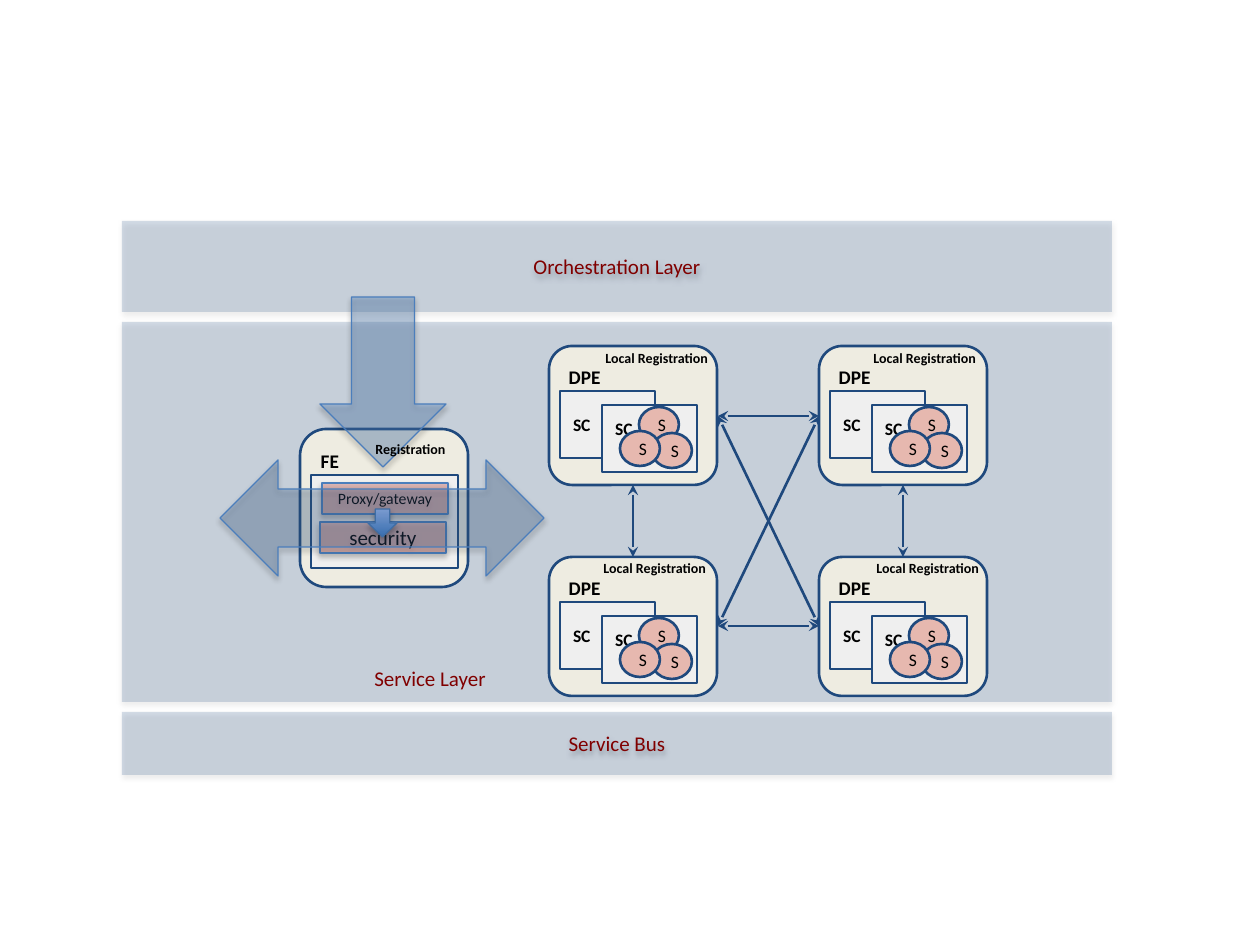
from pptx import Presentation
from pptx.dml.color import RGBColor
from pptx.enum.shapes import MSO_CONNECTOR, MSO_SHAPE
from pptx.enum.text import MSO_ANCHOR, MSO_AUTO_SIZE, PP_ALIGN
from pptx.oxml.ns import qn
from pptx.util import Emu, Pt
from lxml.etree import SubElement

NAVY, EDGE, BAND = "1F497D", "4B7EBC", "376092"
CREAM, GREY, PINK, ROSE = "EEECE1", "EFEFEF", "E6B8AF", "D99694"
BLACK, MAROON = "000000", "800000"
TOP, MID = MSO_ANCHOR.TOP, MSO_ANCHOR.MIDDLE


def px(n):
    return Emu(round(n * 914400 / 126))


def rgb(code):
    return RGBColor.from_string(code)


class Board:
    font = "Calibri"

    def __init__(self, slide):
        self.slide = slide
        self.shapes = slide.shapes

    def text(self, frame, words, size, color=BLACK, bold=False, align=PP_ALIGN.LEFT):
        para = frame.paragraphs[0]
        para.alignment = align
        run = para.add_run()
        run.text = words
        run.font.name, run.font.size, run.font.bold = self.font, Pt(size), bold
        run.font.color.rgb = rgb(color)

    def shape(self, kind, box, fill, line=None, width=1.5, alpha=None):
        item = self.shapes.add_shape(kind, *map(px, box))
        item.shadow.inherit = False
        item.fill.solid()
        item.fill.fore_color.rgb = rgb(fill)
        if alpha:
            color = item._element.spPr.find(qn("a:solidFill"))[0]
            SubElement(color, qn("a:alpha"), val=str(alpha * 1000))
        if line:
            item.line.color.rgb = rgb(line)
            item.line.width = Pt(width)
        else:
            item.line.fill.background()
        return item

    def cast(self, item):
        """Add a soft shadow below the shape."""
        effects = item._element.spPr.find(qn("a:effectLst"))
        outer = SubElement(effects, qn("a:outerShdw"), blurRad=str(Pt(3.1)),
                           dist=str(Pt(1.8)), dir="5400000", rotWithShape="0")
        color = SubElement(outer, qn("a:srgbClr"), val=BLACK)
        SubElement(color, qn("a:alpha"), val="35000")
        return item

    def glass(self, kind, box, fill, alpha, line=EDGE):
        return self.cast(self.shape(kind, box, fill, line, 0.75, alpha))

    def center(self, item, words, size, color=BLACK):
        item.text_frame.vertical_anchor = MID
        self.text(item.text_frame, words, size, color, align=PP_ALIGN.CENTER)

    def band(self, y, h, words=None):
        item = self.glass(MSO_SHAPE.RECTANGLE, (122, y, 990, h), BAND, 21, None)
        if words:
            self.center(item, words, 12, MAROON)

    def box(self, kind, box, fill, words=None, size=10, bold=True, anchor=TOP):
        item = self.shape(kind, box, fill, NAVY)
        if words:
            frame = item.text_frame
            frame.margin_left = frame.margin_right = px(13)
            frame.margin_top = frame.margin_bottom = px(13)
            frame.vertical_anchor = anchor
            self.text(frame, words, size, bold=bold)

    def label(self, box, words, size, color=BLACK, bold=True, wrap=False):
        frame = self.shapes.add_textbox(*map(px, box)).text_frame
        frame.word_wrap = wrap
        frame.auto_size = MSO_AUTO_SIZE.SHAPE_TO_FIT_TEXT
        self.text(frame, words, size, color, bold)

    def link(self, *ends):
        item = self.shapes.add_connector(MSO_CONNECTOR.STRAIGHT, *map(px, ends))
        item.line.color.rgb = rgb(NAVY)
        item.line.width = Pt(1.5)
        props = item._element.spPr
        for tag in ("a:headEnd", "a:tailEnd"):
            SubElement(props.find(qn("a:ln")), qn(tag), type="stealth")
        SubElement(props, qn("a:effectLst"))

    def node(self, x, y):
        self.box(MSO_SHAPE.ROUNDED_RECTANGLE, (x, y, 168, 139), CREAM, "DPE", 11)
        for dx, dy, anchor in ((11, 45, MID), (53, 59, TOP)):
            self.box(MSO_SHAPE.RECTANGLE, (x + dx, y + dy, 95, 67), GREY, "SC", anchor=anchor)
        for dx, dy in ((90, 61), (103, 87), (71, 85)):
            self.box(MSO_SHAPE.OVAL, (x + dx, y + dy, 40, 35), PINK, "S", bold=False, anchor=MID)


def main():
    deck = Presentation()
    deck.slide_width, deck.slide_height = px(1260), px(945)
    board = Board(deck.slides.add_slide(deck.slide_layouts[6]))

    # Layers and front end
    board.band(322, 380)
    board.box(MSO_SHAPE.ROUNDED_RECTANGLE, (300, 429, 168, 158), CREAM, "FE", 11)
    board.box(MSO_SHAPE.RECTANGLE, (311, 475, 147, 93), GREY)
    board.band(712, 63, "Service Bus")
    board.label((362, 659, 141, 38), "Service Layer", 12, MAROON, False)
    board.band(221, 91, "Orchestration Layer")

    # Processing nodes and the links between them
    left, right, high, low = 549, 819, 346, 557
    for x in (left, right):
        for y in (high, low):
            board.node(x, y)
        board.link(x + 84, high + 139, x + 84, low)
    west, north, south = left + 169, high + 70, low + 69
    for start in (north, south):
        for end in (north, south):
            board.link(west, start, right, end)

    # Security chain
    for x, y, words, size in ((322, 483, "Proxy/gateway", 9), (320, 522, "security", 12)):
        item = board.glass(MSO_SHAPE.RECTANGLE, (x, y, 126, 31), ROSE, 57)
        board.center(item, words, size)
    arrow = board.glass(MSO_SHAPE.DOWN_ARROW, (368, 509, 29, 28), EDGE, None)
    arrow.fill.gradient()
    arrow.fill.gradient_angle = 90
    for stop, color in zip(arrow.fill.gradient_stops, ("3F80CE", "A4C4FF")):
        stop.color.rgb = rgb(color)

    # Registration labels and large arrows
    for x, y in ((593, 343), (861, 343), (591, 553), (864, 553)):
        board.label((x, y, 142, 30), "Local Registration", 8, wrap=True)
    board.glass(MSO_SHAPE.DOWN_ARROW, (320, 297, 126, 170), "4F81BD", 32)
    board.label((363, 434, 97, 30), "Registration", 8)
    board.glass(MSO_SHAPE.LEFT_RIGHT_ARROW, (220, 460, 324, 116), BAND, 27)

    deck.save("out.pptx")


if __name__ == "__main__":
    main()
